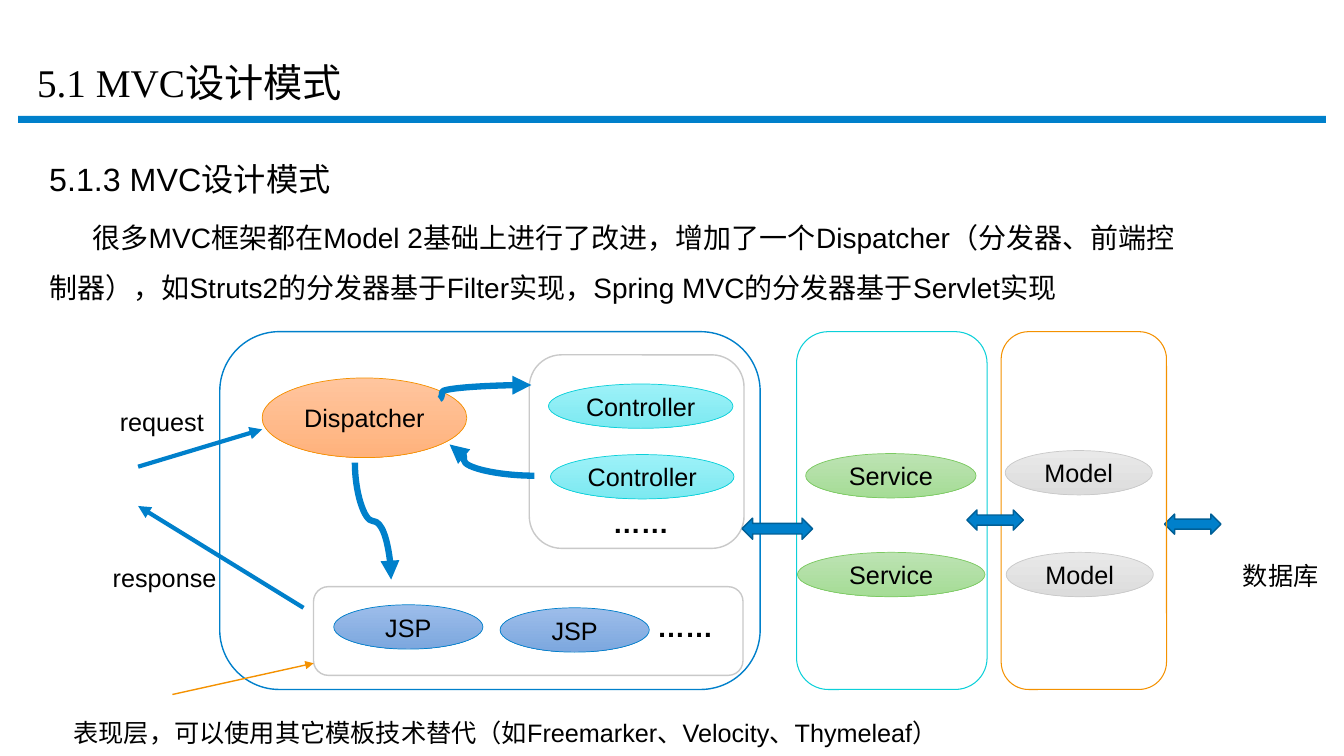
from lxml import etree
from pptx import Presentation
from pptx import util as u
from pptx.dml.color import RGBColor
from pptx.enum import shapes, text
from pptx.oxml.ns import qn

COLORS = {
    "blue": "0080CB", "navy": "005F96", "gray": "C9C9C9", "cyan": "0BD0D9",
    "orange": "F49100", "green": "7CCA62", "white": "FFFFFF", "black": "000000",
}
GRADIENTS = {
    "cyan": ("9DF1F8", "7CE9F1"), "blue": ("9DBDEA", "7CA7DE"),
    "orange": ("FFC59E", "FFB27C"), "green": ("BDE3B3", "A5DC96"),
    "gray": ("E9E9E9", "DCDCDC"),
}

TITLE = "5.1 MVC设计模式"
BODY = [
    ("5.1.3 MVC设计模式", 23, 0, 0),
    ("很多MVC框架都在Model 2基础上进行了改进，增加了一个Dispatcher（分发器、前端控制器），"
     "如Struts2的分发器基于Filter实现，Spring MVC的分发器基于Servlet实现", 20, 0.43, 4),
]
FOOTNOTE = "表现层，可以使用其它模板技术替代（如Freemarker、Velocity、Thymeleaf）"

WEB_PANELS = [
    ((2.18, 3.29, 5.36, 3.55), "blue"),
    ((3.11, 5.82, 4.26, 0.88), "gray"),
    ((5.25, 3.52, 2.13, 1.92), "gray"),
]
LAYER_PANELS = [
    ((7.9, 3.29, 1.89, 3.55), "cyan"),
    ((9.93, 3.29, 1.64, 3.55), "orange"),
]
COMPONENTS = [
    ("Dispatcher", (2.6, 3.75, 2.03, 0.79), "orange"),
    ("Controller", (5.44, 3.81, 1.83, 0.44), "cyan"),
    ("Controller", (5.46, 4.51, 1.82, 0.44), "cyan"),
    ("JSP", (3.31, 6, 1.48, 0.44), "blue"),
    ("JSP", (4.96, 6.03, 1.48, 0.44), "blue"),
    ("Service", (7.99, 4.5, 1.69, 0.44), "green"),
    ("Service", (7.91, 5.48, 1.86, 0.44), "green"),
    ("Model", (9.97, 4.47, 1.46, 0.44), "gray"),
    ("Model", (9.98, 5.48, 1.46, 0.44), "gray"),
]
LABELS = [
    ("request", (1.09, 3.98, 1.04, 0.4), 18, False),
    ("response", (1.02, 5.53, 1.24, 0.4), 18, False),
    ("数据库", (12.23, 5.51, 1.1, 0.4), 18, False),
    ("……", (5.98, 4.97, 0.76, 0.44), 20, True),
    ("……", (6.42, 6, 0.76, 0.44), 20, True),
]
DATABASE_ARROW = (11.55, 5.1, 0.56, 0.2)
LAYER_ARROWS = [(9.59, 5.06, 0.56, 0.2), (7.36, 5.14, 0.7, 0.21)]
STRAIGHT_ARROWS = [
    ((1.37, 4.63), (2.6, 4.26), "blue", 3),
    ((3.01, 6.03), (1.37, 5.02), "blue", 3),
    ((1.71, 6.89), (3.11, 6.58), "orange", 1),
]
CURVED_ARROWS = [
    ((4.36, 3.96), (5.27, 3.82), 2800, False),
    ((5.3, 4.72), (4.46, 4.41), 83100, False),
    ((3.12, 4.99), (4.28, 5.35), 50000, True),
]

presentation = Presentation()
presentation.slide_width = u.Inches(13.33)
presentation.slide_height = u.Inches(7.5)
slide = presentation.slides.add_slide(presentation.slide_layouts[6])


def rgb(name):
    return RGBColor.from_string(COLORS[name])


def write(paragraph, words, size=18, font="Arial", bold=False, align=None,
          line_spacing=None, space_before=0, left=0, first_line=0):
    properties = paragraph._p.get_or_add_pPr()
    properties.set("marL", str(u.Inches(left)))
    properties.set("indent", str(u.Inches(first_line)))
    paragraph.alignment = align
    paragraph.line_spacing = line_spacing
    if space_before:
        paragraph.space_before = u.Pt(space_before)
    run = paragraph.add_run()
    run.text = words
    run.font.size = u.Pt(size)
    run.font.name = font
    run.font.bold = bold
    run.font.color.rgb = rgb("black")


def add_text_frame(box, wrap=True, anchor=text.MSO_ANCHOR.TOP):
    frame = slide.shapes.add_textbox(*map(u.Inches, box)).text_frame
    frame.word_wrap = wrap
    frame.vertical_anchor = anchor
    return frame


def add_shape(kind, box, fill=None, line=None, width=1):
    shape = slide.shapes.add_shape(kind, *map(u.Inches, box))
    shape.shadow.inherit = False
    if fill:
        shape.fill.solid()
        shape.fill.fore_color.rgb = rgb(fill)
    else:
        shape.fill.background()
    if line:
        shape.line.color.rgb = rgb(line)
        shape.line.width = u.Pt(width)
    else:
        shape.line.fill.background()
    return shape


def add_component(name, box, color):
    shape = add_shape(shapes.MSO_SHAPE.OVAL, box, line=color, width=0.5)
    shape.fill.gradient()
    shape.fill.gradient_angle = 270
    for stop, position, shade in zip(shape.fill.gradient_stops, (0, 1), GRADIENTS[color]):
        stop.position = position
        stop.color.rgb = RGBColor.from_string(shade)
    shape.text_frame.word_wrap = False
    shape.text_frame.vertical_anchor = text.MSO_ANCHOR.MIDDLE
    write(shape.text_frame.paragraphs[0], name, align=text.PP_ALIGN.CENTER)


def add_arrow(kind, start, end, color, width):
    connector = slide.shapes.add_connector(kind, *map(u.Inches, start + end))
    connector.line.color.rgb = rgb(color)
    connector.line.width = u.Pt(width)
    outline = connector.line._get_or_add_ln()
    etree.SubElement(outline, qn("a:tailEnd"), type="triangle")
    etree.SubElement(connector._element.spPr, qn("a:effectLst"))
    return connector


def add_curved_arrow(start, end, bend, upright):
    connector = add_arrow(shapes.MSO_CONNECTOR.CURVE, start, end, "blue", 4.5)
    properties = connector._element.spPr
    guides = properties.find(qn("a:prstGeom")).find(qn("a:avLst"))
    etree.SubElement(guides, qn("a:gd"), name="adj1", fmla=f"val {bend}")
    if upright:
        transform = properties.find(qn("a:xfrm"))
        transform.set("rot", str(270 * 60000))
        transform.set("flipH", "1")


def add_double_arrow(box):
    add_shape(shapes.MSO_SHAPE.LEFT_RIGHT_ARROW, box, fill="blue", line="navy")


def main():
    add_shape(shapes.MSO_SHAPE.RECTANGLE, (0.18, 1.15, 12.97, 0.07), fill="blue")
    title = add_text_frame((0.27, 0.35, 7.64, 0.99), anchor=text.MSO_ANCHOR.MIDDLE)
    write(title.paragraphs[0], TITLE, size=28, font="Times New Roman", line_spacing=0.9)

    body = add_text_frame((0.27, 1.34, 11.7, 2.95))
    for index, (words, size, first_line, space) in enumerate(BODY):
        paragraph = body.add_paragraph() if index else body.paragraphs[0]
        write(paragraph, words, size=size, line_spacing=1.5, space_before=space,
              left=0.12, first_line=first_line)

    for box, color in WEB_PANELS:
        add_shape(shapes.MSO_SHAPE.ROUNDED_RECTANGLE, box, fill="white", line=color)
    for component in COMPONENTS:
        add_component(*component)
    add_double_arrow(DATABASE_ARROW)
    for box, color in LAYER_PANELS:
        add_shape(shapes.MSO_SHAPE.ROUNDED_RECTANGLE, box, line=color, width=0.75)
    for box in LAYER_ARROWS:
        add_double_arrow(box)
    for arrow in STRAIGHT_ARROWS:
        add_arrow(shapes.MSO_CONNECTOR.STRAIGHT, *arrow)
    for arrow in CURVED_ARROWS:
        add_curved_arrow(*arrow)
    for words, box, size, bold in LABELS:
        write(add_text_frame(box, wrap=False).paragraphs[0], words, size=size, bold=bold)
    footnote = add_text_frame((0.63, 6.92, 9.69, 0.56))
    write(footnote.paragraphs[0], FOOTNOTE, line_spacing=1.5)
    presentation.save("out.pptx")


if __name__ == "__main__":
    main()
